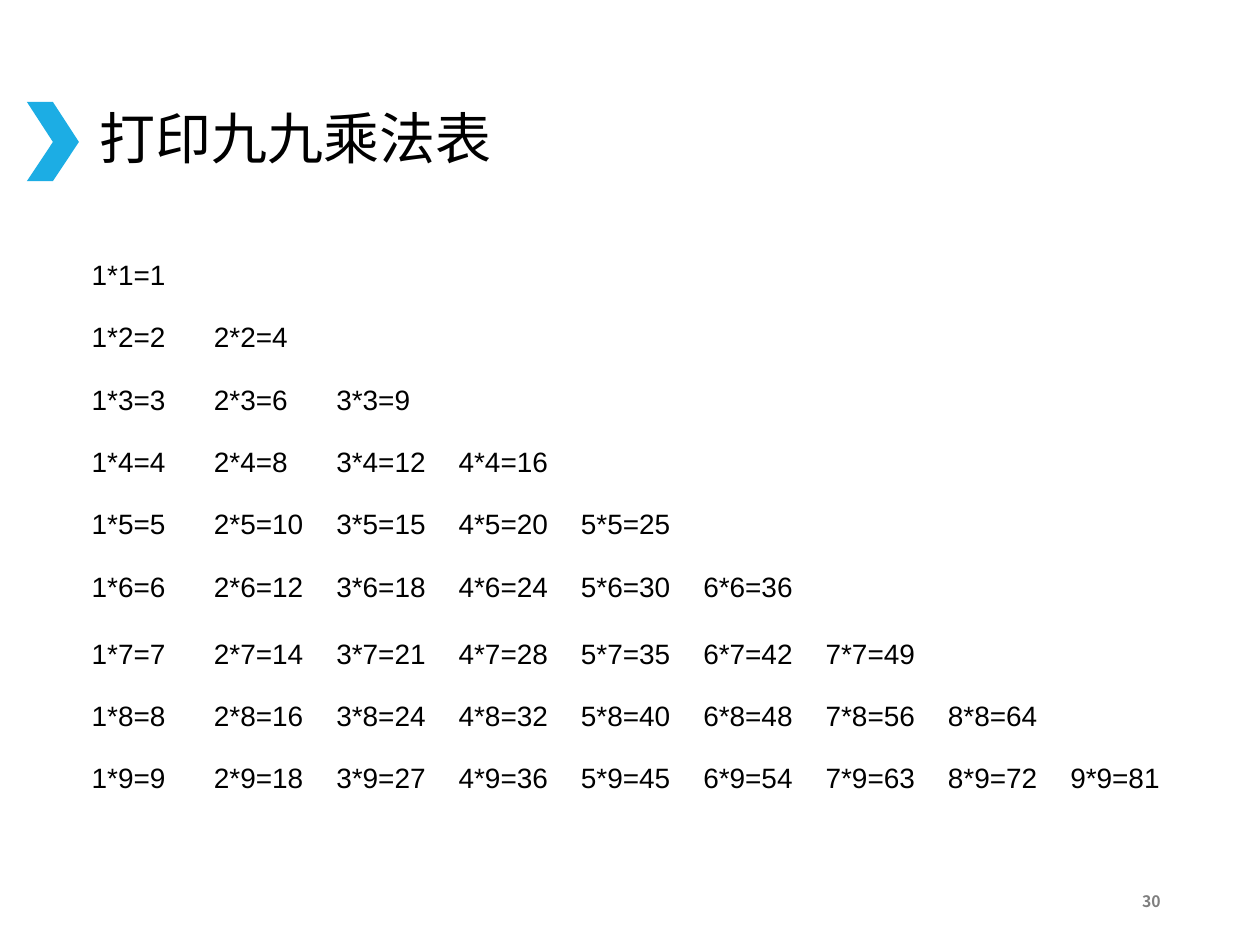
import pptx
import pptx.dml.color
import pptx.enum.text
import pptx.oxml.ns
import pptx.util
from lxml import etree

RGBColor = pptx.dml.color.RGBColor
PP_ALIGN = pptx.enum.text.PP_ALIGN
MSO_ANCHOR = pptx.enum.text.MSO_ANCHOR
qn = pptx.oxml.ns.qn

PX = 914400 / 126
BLACK = RGBColor(0, 0, 0)
WHITE = RGBColor(255, 255, 255)
GRAY = RGBColor(0x7F, 0x7F, 0x7F)
BLUE = RGBColor(0x1C, 0xAD, 0xE4)

N = 9
TALL_ROW = 6
THIN, THICK = 0.45, 1.47  # border widths in points


def px(n):
    return pptx.util.Emu(round(n * PX))


def place(sp, x, y, w, h):
    for name, value in dict(left=x, top=y, width=w, height=h).items():
        setattr(sp, name, px(value))


def write(tf, text, size, color, name="Arial", bold=False,
          align=PP_ALIGN.LEFT):
    p = tf.paragraphs[0]
    p.alignment = align
    r = p.add_run()
    r.text = text
    r.font.color.rgb = color
    fmt = dict(size=pptx.util.Pt(size), name=name, bold=bold)
    for key, value in fmt.items():
        setattr(r.font, key, value)
    ea = etree.SubElement(r.font._element, qn("a:ea"))
    ea.set("typeface", "Noto Sans CJK SC")
    return p


def add_chevron(s):
    fb = s.shapes.build_freeform(27, 102, scale=PX)
    fb.add_line_segments(
        [(53, 102), (79, 142), (53, 181), (27, 181), (53, 142)])
    sp = fb.convert_to_shape()
    sp.shadow.inherit = False
    sp.fill.solid()
    sp.fill.fore_color.rgb = BLUE
    sp.line.fill.background()


def add_title(s, text):
    sp = s.shapes.title
    place(sp, 87, 50, 1087, 183)
    sp.text_frame.vertical_anchor = MSO_ANCHOR.MIDDLE
    write(sp.text_frame, text, 32, BLACK).line_spacing = 0.9


def set_borders(cell, top, bottom):
    tc_pr = cell._tc.get_or_add_tcPr()
    widths = dict(lnL=THIN, lnR=THIN, lnT=top, lnB=bottom)
    for i, (tag, width) in enumerate(widths.items()):
        ln = etree.Element(qn("a:" + tag), w=str(pptx.util.Pt(width)))
        fill = etree.SubElement(ln, qn("a:solidFill"))
        etree.SubElement(fill, qn("a:srgbClr"), val=str(WHITE))
        tc_pr.insert(i, ln)


def add_times_table(s, x, y, w, h, tall):
    frame = s.shapes.add_table(N, N, px(x), px(y), px(w), px(h))
    table = frame.table
    table.first_row = table.horz_banding = False
    for col in table.columns:
        col.width = px(w / N)
    for i, row in enumerate(table.rows, 1):
        row.height = px(tall if i == TALL_ROW else (h - tall) / (N - 1))
        for j, cell in enumerate(row.cells, 1):
            cell.fill.solid()
            cell.fill.fore_color.rgb = WHITE
            # A heavier rule separates the first row from the rest
            set_borders(cell, THICK if i == 2 else THIN,
                        THICK if i == 1 else THIN)
            if j <= i:
                write(cell.text_frame, f"{j}*{i}={i * j}", 16, BLACK)


def add_page_number(s, text):
    sp = s.shapes.add_textbox(px(890), px(876), px(283), px(50))
    tf = sp.text_frame
    tf.word_wrap = True
    tf.vertical_anchor = MSO_ANCHOR.MIDDLE
    write(tf, text, 9, GRAY, "Noto Sans CJK SC", True, PP_ALIGN.RIGHT)


def main():
    prs = pptx.Presentation()
    prs.slide_width, prs.slide_height = px(1260), px(945)
    s = prs.slides.add_slide(prs.slide_layouts[5])

    # Heading
    add_chevron(s)
    add_title(s, "打印九九乘法表")

    # Multiplication table
    add_times_table(s, 79, 254, 1101, 566, 67)

    # Footer
    add_page_number(s, "30")
    prs.save("out.pptx")


if __name__ == "__main__":
    main()
